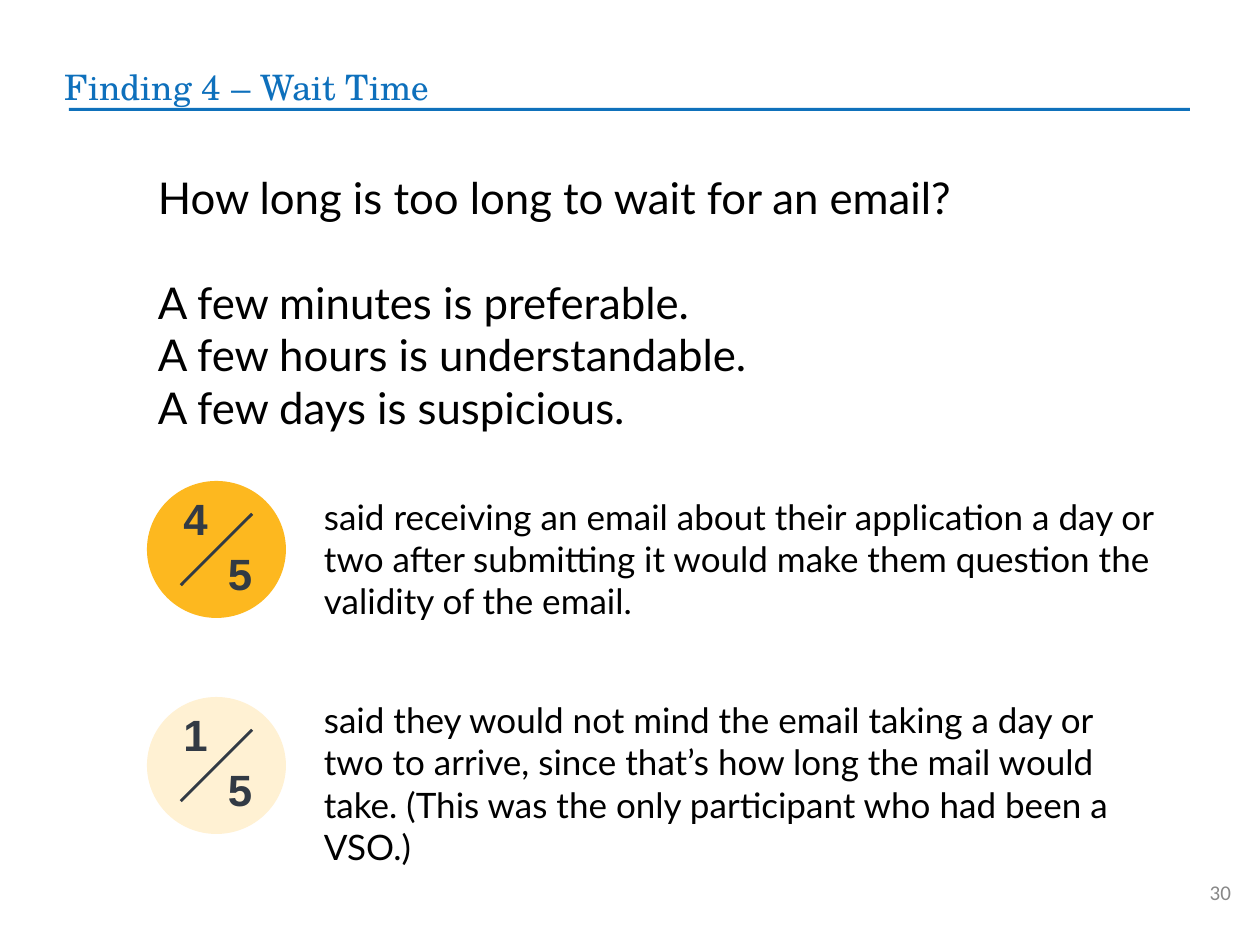
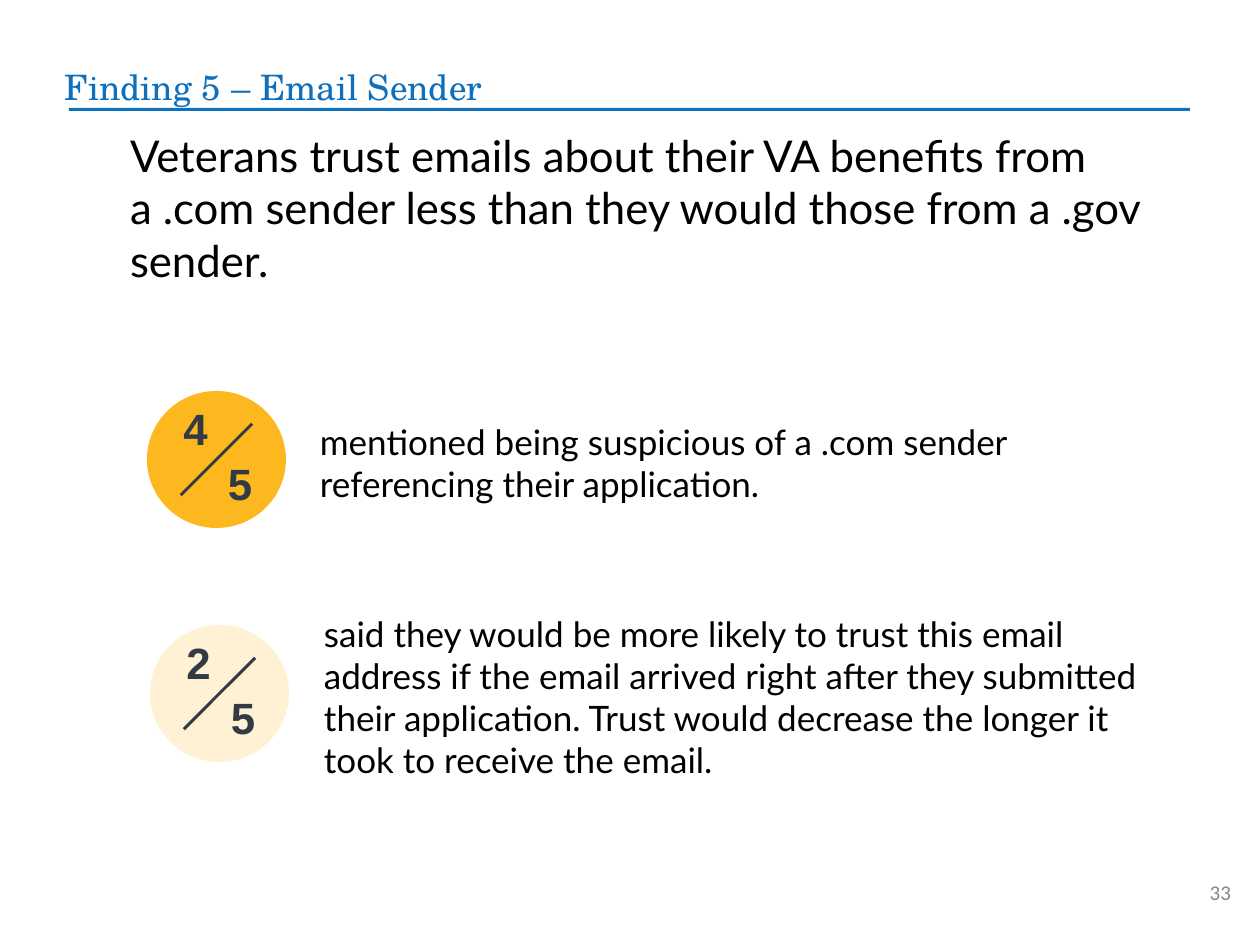
from pptx import Presentation
from pptx.dml.color import RGBColor
from pptx.enum.shapes import MSO_SHAPE
from pptx.enum.text import MSO_ANCHOR, PP_ALIGN
from pptx.util import Emu, Pt

OVAL, RECTANGLE = MSO_SHAPE.OVAL, MSO_SHAPE.RECTANGLE
TOP, MIDDLE, BOTTOM = MSO_ANCHOR.TOP, MSO_ANCHOR.MIDDLE, MSO_ANCHOR.BOTTOM
LEFT, CENTER, RIGHT = PP_ALIGN.LEFT, PP_ALIGN.CENTER, PP_ALIGN.RIGHT

PX_PER_INCH = 126
SLIDE_SIZE = (1260, 945)

TITLE_BLUE, RULE_BLUE = "0E70BC", "0F71BB"
GOLD, CREAM = "FDB81F", "FFF1D3"
INK, BLACK, GREY = "323A44", "000000", "888888"
BODY_FONT, TITLE_FONT = "Lato", "TeX Gyre Schola"
DIGIT_FONT, NUMBER_FONT = "Arial", "Calibri"

# Boxes are (left, top, width, height) in px.
TITLE_BOX = (53, 50, 1099, 70)
RULE_BOX = (69, 108, 1121, 3)
NUMBER_BOX = (1193, 868, 50, 49)

# Parts of a fraction badge, relative to its top left corner.
BADGE_SIZE = (139, 137)
SLASH_SIZE = (101, 3)
NUMERATOR_BOX = (29, 5, 39, 67)
DENOMINATOR_BOX = (72, 60, 42, 67)

FINDINGS = [
    {
        "title": "Finding 4 – Wait Time",
        "number": "30",
        "headline": [
            "How long is too long to wait for an email?",
            "A few minutes is preferable.",
            "A few hours is understandable.",
            "A few days is suspicious.",
        ],
        "headline_box": (145, 155, 971, 291),
        "gap_after_first": 30,
        "results": [
            {
                "fraction": ("4", "5"), "color": GOLD, "badge_at": (147, 481),
                "text": "said receiving an email about their application a day or two "
                        "after submitting it would make them question the validity "
                        "of the email.",
                "box": (318, 489, 873, 144),
            },
            {
                "fraction": ("1", "5"), "color": CREAM, "badge_at": (147, 697),
                "text": "said they would not mind the email taking a day or two to "
                        "arrive, since that’s how long the mail would take. (This was "
                        "the only participant who had been a VSO.)",
                "box": (318, 693, 834, 180),
            },
        ],
    },
    {
        "title": "Finding 5 – Email Sender",
        "number": "33",
        "headline": [
            "Veterans trust emails about their VA benefits from a .com sender "
            "less than they would those from a .gov sender.",
        ],
        "headline_box": (117, 116, 1075, 183),
        "gap_after_first": 0,
        "results": [
            {
                "fraction": ("4", "5"), "color": GOLD, "badge_at": (147, 391),
                "text": "mentioned being suspicious of a .com sender referencing "
                        "their application.",
                "box": (314, 414, 856, 97),
            },
            {
                "fraction": ("2", "5"), "color": CREAM, "badge_at": (150, 625),
                "text": "said they would be more likely to trust this email address "
                        "if the email arrived right after they submitted their "
                        "application. Trust would decrease the longer it took to "
                        "receive the email.",
                "box": (318, 606, 835, 183),
            },
        ],
    },
]


def px(length):
    return Emu(round(length * 914400 / PX_PER_INCH))


def rgb(hex_color):
    return RGBColor.from_string(hex_color)


def offset(box, origin):
    left, top, width, height = box
    return (left + origin[0], top + origin[1], width, height)


def add_text(shapes, box, lines, *, size, font=BODY_FONT, color=BLACK, bold=False,
             align=LEFT, anchor=TOP, inset=6, gap_after_first=0):
    """Add a text box with one paragraph for each line."""
    frame = shapes.add_textbox(*map(px, box)).text_frame
    frame.word_wrap = True
    frame.vertical_anchor = anchor
    frame.margin_left = frame.margin_right = px(inset)
    frame.margin_top = frame.margin_bottom = px(inset)
    frame.text = "\n".join(lines)
    for paragraph in frame.paragraphs:
        paragraph.alignment = align
        for run in paragraph.runs:
            run.font.name = font
            run.font.size = Pt(size)
            run.font.bold = bold
            run.font.color.rgb = rgb(color)
    if gap_after_first:
        frame.paragraphs[0].space_after = Pt(gap_after_first)


def add_filled(shapes, kind, box, color):
    shape = shapes.add_shape(kind, *map(px, box))
    shape.shadow.inherit = False
    shape.fill.solid()
    shape.fill.fore_color.rgb = rgb(color)
    shape.line.fill.background()
    return shape


def add_badge(slide, origin, fraction, color):
    """Add a grouped disc that shows a fraction around a diagonal slash."""
    shapes = slide.shapes.add_group_shape().shapes
    add_filled(shapes, OVAL, (*origin, *BADGE_SIZE), color)
    for digit, box in zip(fraction, (NUMERATOR_BOX, DENOMINATOR_BOX)):
        add_text(shapes, offset(box, origin), [digit], size=25, font=DIGIT_FONT,
                 color=INK, bold=True, align=CENTER)
    centred = [(outer - inner) / 2 for outer, inner in zip(BADGE_SIZE, SLASH_SIZE)]
    slash = add_filled(shapes, RECTANGLE, offset((*centred, *SLASH_SIZE), origin), INK)
    slash.rotation = 315


def add_frame(slide, title, number):
    """Add the title, its rule and the page number."""
    add_text(slide.shapes, TITLE_BOX, [title], size=20, font=TITLE_FONT,
             color=TITLE_BLUE, anchor=BOTTOM, inset=12)
    add_filled(slide.shapes, RECTANGLE, RULE_BOX, RULE_BLUE)
    add_text(slide.shapes, NUMBER_BOX, [number], size=12, font=NUMBER_FONT,
             color=GREY, align=RIGHT, anchor=MIDDLE, inset=12)


def add_finding(presentation, finding):
    slide = presentation.slides.add_slide(presentation.slide_layouts[6])
    add_frame(slide, finding["title"], finding["number"])
    add_text(slide.shapes, finding["headline_box"], finding["headline"], size=25,
             anchor=BOTTOM, inset=13, gap_after_first=finding["gap_after_first"])
    for result in finding["results"]:
        add_badge(slide, result["badge_at"], result["fraction"], result["color"])
        add_text(slide.shapes, result["box"], [result["text"]], size=20)


def main():
    presentation = Presentation()
    presentation.slide_width, presentation.slide_height = map(px, SLIDE_SIZE)
    for finding in FINDINGS:
        add_finding(presentation, finding)
    presentation.save("out.pptx")


if __name__ == "__main__":
    main()
